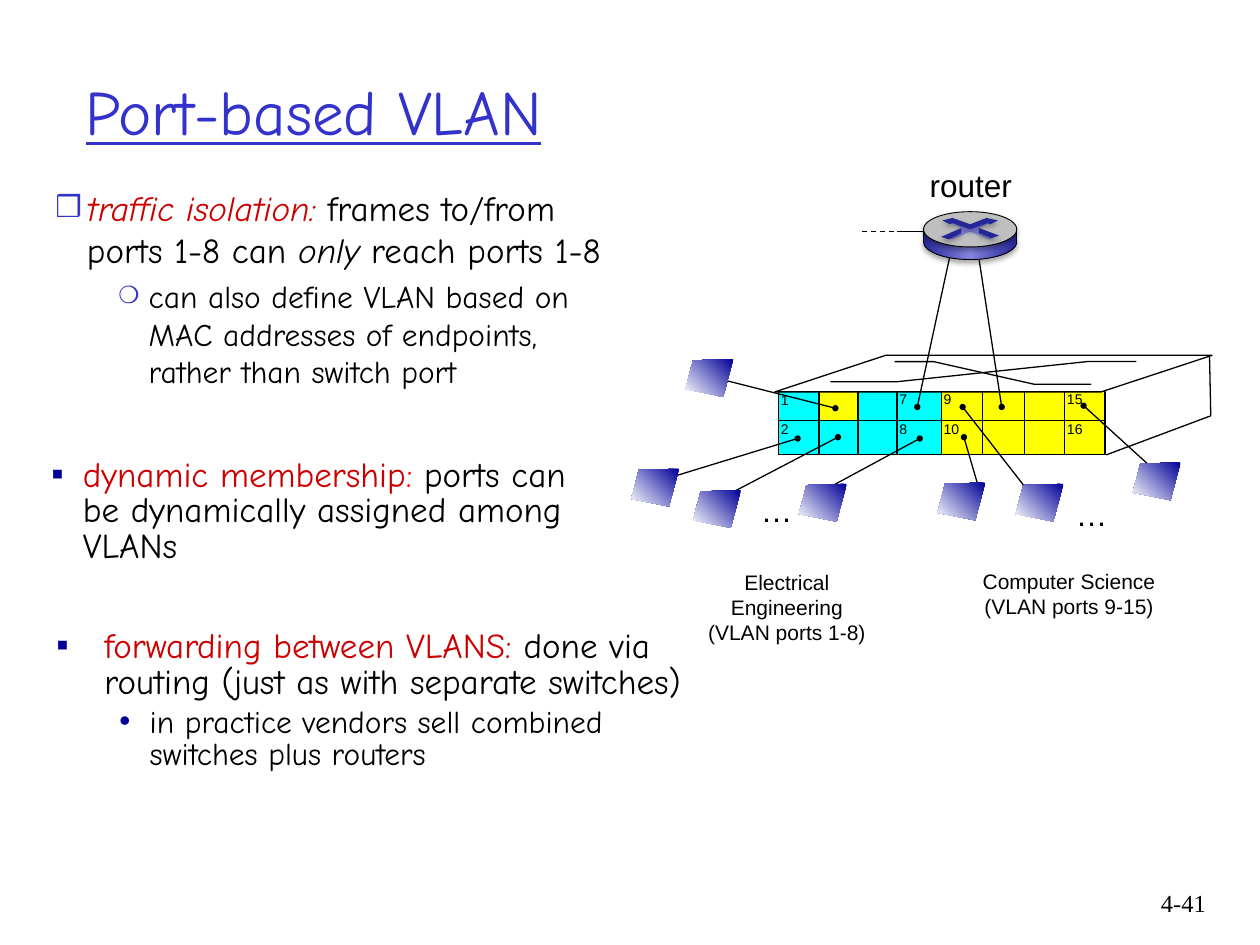
import dataclasses
import pptx
import pptx.util
import pptx.dml.color
import pptx.enum.dml
import pptx.enum.shapes
import pptx.enum.text
import pptx.oxml
import pptx.oxml.ns
import copy

Inches, Pt = pptx.util.Inches, pptx.util.Pt
RGB = pptx.dml.color.RGBColor.from_string
SHAPE = pptx.enum.shapes.MSO_SHAPE
ALIGN = pptx.enum.text.PP_ALIGN
FIT = pptx.enum.text.MSO_AUTO_SIZE


@dataclasses.dataclass(frozen=True)
class Theme:
    ink: str = "000000"
    paper: str = "FFFFFF"
    blue: str = "3333CC"
    navy: str = "000099"
    red: str = "CC0000"
    bright: str = "FF0000"
    cyan: str = "00FFFF"
    yellow: str = "FFFF00"
    grey: str = "BFBFBF"
    deep: str = "262699"
    pale: str = "8585E0"
    hand: str = "Comic Neue"
    sans: str = "Arial"
    serif: str = "Times New Roman"
    title: int = 36
    head: int = 20
    sub: int = 18
    foot: int = 14
    note: int = 12
    port: int = 8


T = Theme()


def xml(tag, body="", **attrs):
    pairs = " ".join(f'{k}="{v}"' for k, v in attrs.items())
    space = pptx.oxml.ns.nsdecls("a")
    return pptx.oxml.parse_xml(f"<a:{tag} {space} {pairs}>{body}</a:{tag}>")


def write(frame, text, size=T.sub, font=T.sans, color=T.ink, align=ALIGN.LEFT,
          line=False, level=0, bullet=None, tint=T.navy, scale=100,
          hang=(0, 0), lead=1.0):
    """Add a paragraph; text is a string or a list of (words, color, italic)."""
    first = not frame.text
    p = frame.paragraphs[0] if first else frame.add_paragraph()
    p.level, p.alignment, p.line_spacing = level, align, lead
    p.space_before = Pt(0 if first or not bullet else size * 0.2)
    if bullet:
        props = p._p.get_or_add_pPr()
        props.set("marL", str(Inches(hang[0])))
        props.set("indent", str(Inches(-hang[1])))
        props.append(xml("buClr", f'<a:srgbClr val="{tint}"/>'))
        props.append(xml("buSzPct", val=scale * 1000))
        props.append(xml("buFont", typeface=T.sans))
        props.append(xml("buChar", char=bullet))
    for words, shade, slant in [(text, color, None)] if isinstance(text, str) else text:
        run = p.add_run()
        run.text = words
        run.font.size, run.font.name = Pt(size), font
        run.font.color.rgb = RGB(shade)
        run.font.italic = slant
        if line:
            run.font.underline = True


def place(shape, x, y, w, h):
    shape.left, shape.top, shape.width, shape.height = map(Inches, (x, y, w, h))
    return shape.text_frame


def label(slide, box, *lines, wrap=False, pad=0.1, **fmt):
    frame = slide.shapes.add_textbox(*map(Inches, box)).text_frame
    frame.word_wrap = wrap
    frame.auto_size = FIT.NONE if wrap else FIT.SHAPE_TO_FIT_TEXT
    frame.margin_left = frame.margin_right = Inches(pad)
    for text in lines:
        write(frame, text, **fmt)
    return frame


def paint(shape, fill=None, line=None, angle=0, shade=False):
    """Fill with one colour, a list of colours as a gradient, or nothing."""
    shape.shadow.inherit = False
    if isinstance(fill, list):
        shape.fill.gradient()
        shape.fill.gradient_angle = angle
        stops = shape.fill._fill._gradFill.gsLst
        while len(stops) < len(fill):
            stops.append(copy.deepcopy(stops[0]))
        for i, (stop, color) in enumerate(zip(shape.fill.gradient_stops, fill)):
            stop.color.rgb = RGB(color)
            stop.position = i / (len(fill) - 1)
    elif fill:
        shape.fill.solid()
        shape.fill.fore_color.rgb = RGB(fill)
    else:
        shape.fill.background()
    if line:
        shape.line.width = Pt(line)
        shape.line.color.rgb = RGB(T.ink)
    else:
        shape.line.fill.background()
    if shade:
        color = '<a:srgbClr val="000000"><a:alpha val="35000"/></a:srgbClr>'
        shape._element.spPr.find(pptx.oxml.ns.qn("a:effectLst")).append(
            xml("outerShdw", color, blurRad=Pt(3.1), dist=Pt(1.8),
                dir=5400000, rotWithShape=0))
    return shape


def block(slide, kind, x, y, w, h, *fill, **look):
    return paint(slide.shapes.add_shape(kind, *map(Inches, (x, y, w, h))), *fill, **look)


def free(slide, x, y, points, close=False, **look):
    spots = [(Inches(x + a), Inches(y + b)) for a, b in points]
    pen = slide.shapes.build_freeform(*spots[0])
    pen.add_line_segments(spots[1:], close=close)
    return paint(pen.convert_to_shape(), **look)


def wire(slide, x1, y1, x2, y2, width=0.75, dash=False):
    link = slide.shapes.add_connector(pptx.enum.shapes.MSO_CONNECTOR.STRAIGHT,
                                      *map(Inches, (x1, y1, x2, y2)))
    link.line.width = Pt(width)
    link.line.color.rgb = RGB(T.ink)
    if dash:
        link.line.dash_style = pptx.enum.dml.MSO_LINE.DASH
    link._element.spPr.append(xml("effectLst"))


def dot(slide, x, y):
    block(slide, SHAPE.OVAL, x - 0.025, y - 0.025, 0.05, 0.05, T.ink)


def switch(slide, x, y):
    cols = [x + c for c in (0.03, 0.35, 0.66, 0.97, 1.32, 1.65, 1.98, 2.3, 2.62)]
    top, mid, end = y + 0.29, y + 0.52, y + 0.79
    for a, b, low, fill in ((0, 4, end, T.cyan), (4, 8, end, T.yellow), (1, 2, mid, T.yellow)):
        block(slide, SHAPE.RECTANGLE, cols[a], top, cols[b] - cols[a], low - top, fill)
    block(slide, SHAPE.RECTANGLE, cols[0], top, cols[-1] - cols[0], end - top, line=0.75)
    lid = block(slide, SHAPE.PARALLELOGRAM, x, y, 3.47, 0.29, T.paper, line=0.75)
    lid.adjustments[0] = 3.032
    for points in (((2.63, 0.79), (3.46, 0.48), (3.45, 0)),
                   ((0.44, 0.21), (0.97, 0.21), (2.48, 0.05), (2.87, 0.05)),
                   ((0.95, 0.05), (1.26, 0.05), (2.06, 0.23), (2.51, 0.23))):
        free(slide, x, y, points, line=0.75)
    wire(slide, cols[0], mid, cols[-1], mid)
    for col in cols[:-1]:
        wire(slide, col, top, col, end)
    for col, odd in ((0, 1), (3, 7), (4, 9), (7, 15)):
        for row, num in enumerate((odd, odd + 1)):
            rise = 0.24 if num == 1 else 0.23 + 0.235 * row
            label(slide, (cols[col] - 0.08, y + rise, 0.26 if num < 10 else 0.33, 0.23),
                  str(num), size=T.port)


def host(slide, x, y, lead, port):
    """Draw a host at x, y, wired from the lead offset to the port spot."""
    wire(slide, x + lead[0], y + lead[1], *port)
    dot(slide, *port)
    points = ((0.38, 0), (0.06, 0.01), (0, 0.24), (0.3, 0.3))
    free(slide, x, y, points, close=True, fill=[T.navy, T.paper], angle=225)


def router(slide, x, y, ports):
    for (px, py), (dx, dy) in zip(ports, ((0.22, 0.3), (0.43, 0.31))):
        dot(slide, px, py)
        wire(slide, px, py, x + dx, y + dy)
    wire(slide, x - 0.21, y + 0.16, x + 0.07, y + 0.16)
    wire(slide, x - 0.49, y + 0.16, x - 0.22, y + 0.16, dash=True)
    steel = [T.deep, T.pale, T.deep]
    block(slide, SHAPE.OVAL, x, y + 0.1, 0.74, 0.28, steel, line=0.5, shade=True)
    block(slide, SHAPE.RECTANGLE, x, y + 0.14, 0.74, 0.1, steel)
    block(slide, SHAPE.OVAL, x, y, 0.74, 0.28, T.grey, line=0.5, shade=True)
    cross = ((.37, .16), (.23, .22), (.19, .21), (.3, .17), (.3, .13), (.21, .09),
             (.24, .09), (.37, .14), (.5, .08), (.53, .09), (.44, .13), (.46, .18),
             (.55, .21), (.52, .22))
    vee = ((.15, .07), (.23, .05), (.37, .1), (.5, .05), (.59, .07), (.53, .1),
           (.51, .09), (.37, .14), (.23, .09), (.21, .1))
    right = ((.44, .13), (.6, .19), (.54, .21), (.44, .17))
    left = ((.3, .13), (.3, .17), (.2, .22), (.14, .2))
    free(slide, x, y, cross, close=True, fill=T.pale)
    for points in (vee, right, left):
        free(slide, x, y, points, close=True, fill=T.deep, shade=True)
    for side in (x, x + 0.74):
        wire(slide, side, y + 0.24, side, y + 0.14, width=0.5)
    label(slide, (x - 0.05, y - 0.41, 0.86, 0.4), "router")


def diagram(slide, x, y):
    switch(slide, x + 1.15, y + 1.57)
    for left, top, lead, port in (
            (0.01, 2.47, (0.34, 0.06), (1.33, 2.23)),
            (0.5, 2.64, (0.27, 0.04), (1.65, 2.22)),
            (1.34, 2.59, (0.22, 0.04), (2.3, 2.23)),
            (2.44, 2.58, (0.33, 0.05), (2.65, 2.22)),
            (3.06, 2.59, (0.11, 0.07), (2.64, 1.98)),
            (3.99, 2.42, (0.16, 0.05), (3.6, 1.97)),
            (0.44, 1.6, (0.32, 0.17), (1.63, 1.99))):
        host(slide, x + left, y + top, lead, (x + port[0], y + port[1]))
    router(slide, x + 2.33, y + 0.43, [(x + 2.28, y + 1.98), (x + 2.95, y + 1.98)])
    for left, top in ((0.94, 2.6), (3.44, 2.63)):
        label(slide, (x + left, y + top, 0.45, 0.4), "…")
    label(slide, (x + 0.34, y + 3.22, 1.81, 0.5), "Electrical Engineering",
          "(VLAN ports 1-8)", wrap=True, pad=0.25, size=T.note, align=ALIGN.CENTER)
    label(slide, (x + 2.7, y + 3.21, 1.57, 0.5), "Computer Science",
          "(VLAN ports 9-15)", size=T.note, align=ALIGN.CENTER)


def notes(slide, x, y):
    body = place(slide.placeholders[1], x + 0.03, y, 4.65, 1.93)
    body.auto_size = FIT.NONE
    hand = dict(font=T.hand, lead=1.0)
    write(body, [("traffic isolation: ", T.red, True),
                 ("frames to/from ports 1-8 can ", T.ink, False),
                 ("only", T.ink, True), (" reach ports 1-8", T.ink, False)],
          size=T.head, bullet="❒", tint=T.blue, scale=85, hang=(0.25, 0.25), **hand)
    write(body, "can also define VLAN based on MAC addresses of endpoints, "
          "rather than switch port", level=1, bullet="❍", tint=T.blue, scale=75,
          hang=(0.74, 0.24), **hand)
    tight = dict(font=T.hand, lead=0.85)
    label(slide, (x, y + 2.16, 4.44, 1.76),
          [("dynamic membership", T.red, None), (":", T.bright, None),
           (" ports can be dynamically assigned among VLANs", T.ink, None)],
          wrap=True, size=T.head, bullet="▪", hang=(0.25, 0.25), **tight)
    last = label(slide, (x + 0.04, y + 3.52, 5.47, 1.76),
                 [("forwarding between VLANS: ", T.red, None),
                  ("done via routing (just as with separate switches)", T.ink, None)],
                 wrap=True, size=T.head, bullet="▪", hang=(0.38, 0.38), **tight)
    write(last, "in practice vendors sell combined switches plus routers",
          level=1, bullet="•", hang=(0.74, 0.24), **tight)


def main():
    deck = pptx.Presentation()
    deck.slide_width, deck.slide_height = Inches(10), Inches(7.5)
    slide = deck.slides.add_slide(deck.slide_layouts[1])
    title = place(slide.shapes.title, 0.58, 0.25, 8.5, 1.25)
    title.vertical_anchor = pptx.enum.text.MSO_ANCHOR.MIDDLE
    write(title, "Port-based VLAN", size=T.title, font=T.hand, color=T.blue, line=True)
    notes(slide, 0.31, 1.43)
    diagram(slide, 5, 1.25)
    label(slide, (8.93, 7, 0.74, 0.5), "4-41", wrap=True, size=T.foot,
          font=T.serif, align=ALIGN.RIGHT)
    deck.save("out.pptx")


if __name__ == "__main__":
    main()
